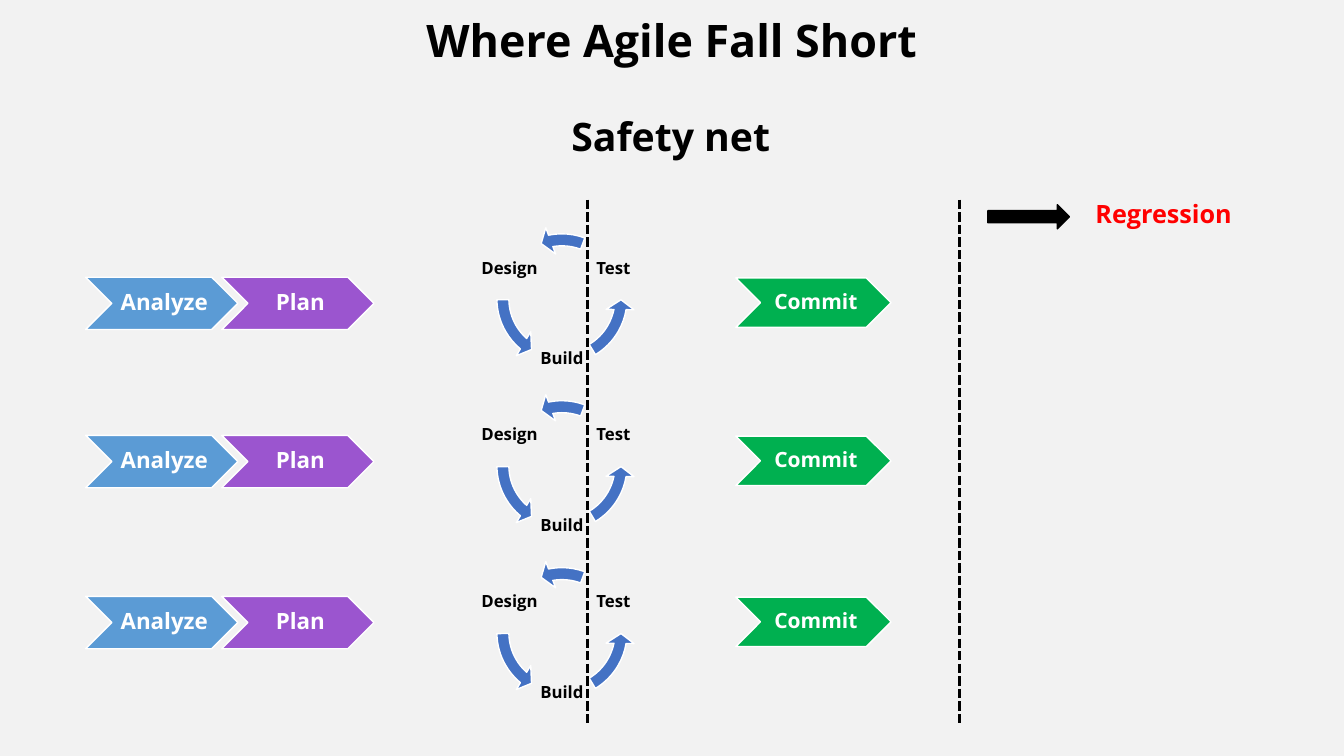
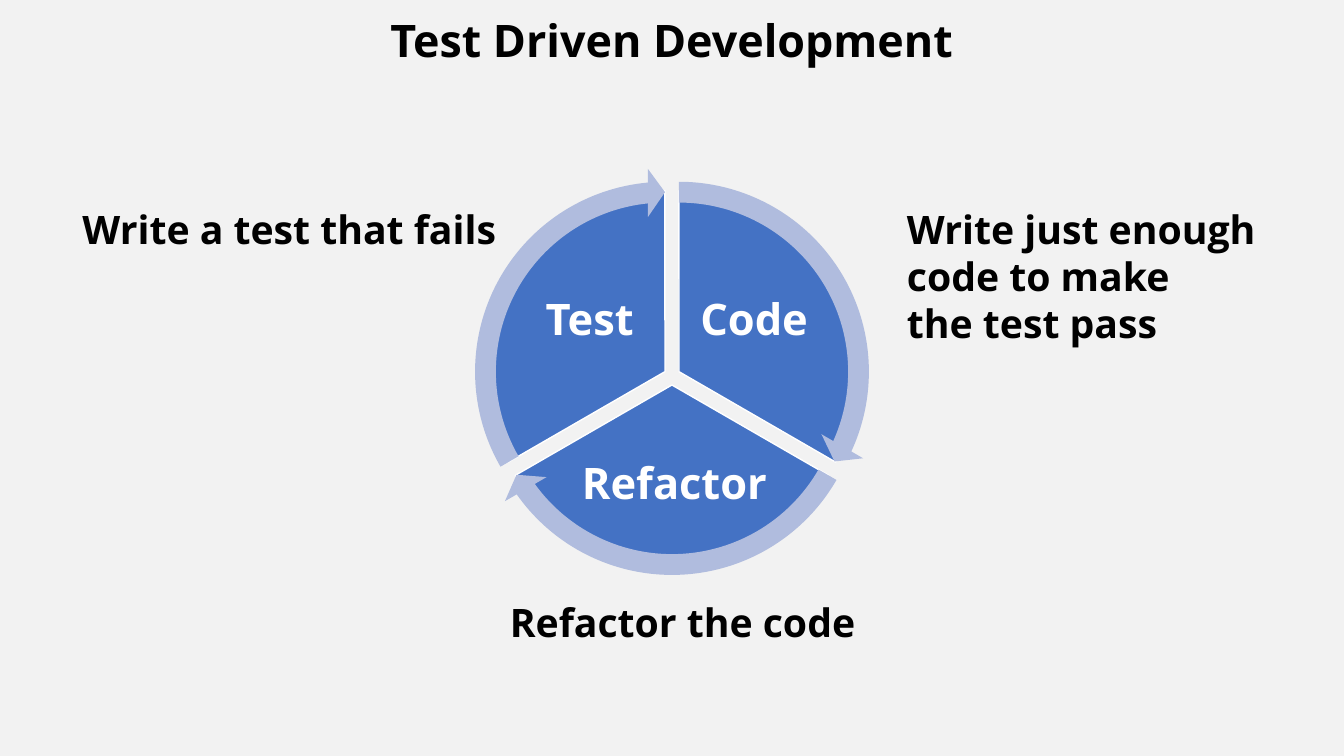
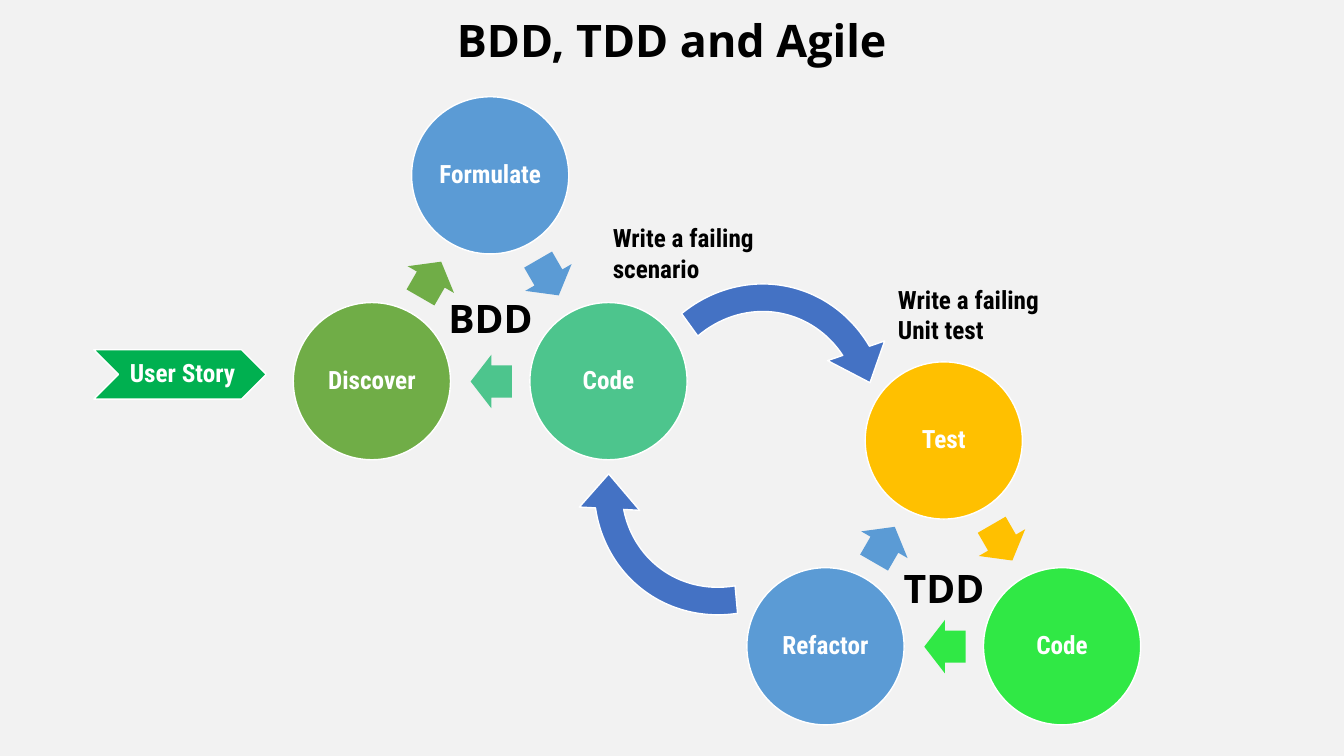
"""Build three slides on agile, test driven and behaviour driven development."""
from lxml import etree
from pptx import Presentation
from pptx.dml.color import RGBColor
from pptx.enum.dml import MSO_LINE
from pptx.enum.shapes import MSO_CONNECTOR, MSO_SHAPE
from pptx.enum.text import MSO_ANCHOR, MSO_AUTO_SIZE, PP_ALIGN
from pptx.oxml.ns import qn
from pptx.util import Pt

CHEVRON = MSO_SHAPE.CHEVRON
OVAL = MSO_SHAPE.OVAL
PIE = MSO_SHAPE.PIE
ARROW = MSO_SHAPE.RIGHT_ARROW
BEND = MSO_SHAPE.CIRCULAR_ARROW
BACK = MSO_SHAPE.LEFT_CIRCULAR_ARROW
STRAIGHT = MSO_CONNECTOR.STRAIGHT
DASH = MSO_LINE.SQUARE_DOT
LEFT, CENTER = PP_ALIGN.LEFT, PP_ALIGN.CENTER
TOP, MIDDLE = MSO_ANCHOR.TOP, MSO_ANCHOR.MIDDLE
FIXED = MSO_AUTO_SIZE.NONE

BLACK = RGBColor(0x00, 0x00, 0x00)
WHITE = RGBColor(0xFF, 0xFF, 0xFF)
PAPER = RGBColor(0xF2, 0xF2, 0xF2)
BLUE = RGBColor(0x44, 0x72, 0xC4)
SKY = RGBColor(0x5B, 0x9B, 0xD5)
PALE = RGBColor(0xB0, 0xBC, 0xDE)
PURPLE = RGBColor(0x9B, 0x55, 0xCF)
GREEN = RGBColor(0x00, 0xB0, 0x50)
MINT = RGBColor(0x4D, 0xC5, 0x8D)
OLIVE = RGBColor(0x70, 0xAD, 0x47)
GOLD = RGBColor(0xFF, 0xC0, 0x00)
LIME = RGBColor(0x30, 0xE8, 0x45)
RED = RGBColor(0xFF, 0x00, 0x00)

SANS = "Open Sans"
ROBOTO = "Roboto Condensed"
PERCENT, DEGREE = 0.01, 0.6
RING = (PERCENT, DEGREE, DEGREE, DEGREE, PERCENT)
UNITS = {PIE: (DEGREE, DEGREE), ARROW: (PERCENT, PERCENT), BEND: RING, BACK: RING}


def text(shape, words, size, font=SANS, color=BLACK, align=LEFT, anchor=TOP,
         inset=(7.2, 3.6, 7.2, 3.6), space=1):
    frame = shape.text_frame
    frame.text = words
    frame.word_wrap = False
    frame.auto_size = FIXED
    frame.vertical_anchor = anchor
    frame.margin_left, frame.margin_top, frame.margin_right, frame.margin_bottom = map(Pt, inset)
    for line in frame.paragraphs:
        line.alignment = align
        line.line_spacing = space
        style = line.runs[0].font
        style.name, style.size, style.bold = font, Pt(size), True
        style.color.rgb = color


def form(slide, kind, box, fill, edge=WHITE, turn=0, adjust=()):
    shape = slide.shapes.add_shape(kind, *map(Pt, box))
    shape.shadow.inherit = False
    shape.rotation = turn
    shape.fill.solid()
    shape.fill.fore_color.rgb = fill
    if edge is None:
        shape.line.fill.background()
    else:
        shape.line.color.rgb = edge
        shape.line.width = Pt(1)
    for i, value in enumerate(adjust):
        shape.adjustments[i] = value * UNITS[kind][i]
    return shape


deck = Presentation()
deck.slide_width, deck.slide_height = Pt(960), Pt(540)
back = deck.slide_master.background.fill
back.solid()
back.fore_color.rgb = PAPER
layout = deck.slide_layouts[5]
head = layout.placeholders[0]
head.left, head.top, head.width, head.height = map(Pt, (0, 5.8, 960, 46))

slides = []
for name in ("Where Agile Fall Short", "Test Driven Development", "BDD, TDD and Agile"):
    slide = deck.slides.add_slide(layout)
    text(slide.shapes.title, name, 32, align=CENTER)
    slides.append(slide)
agile, tdd, both = slides

LABEL = dict(color=WHITE, align=CENTER, anchor=MIDDLE, space=0.9)
TAG = dict(LABEL, inset=(5, 1.4, 1.4, 1.4))

for row, top in enumerate((198, 311, 426)):
    ring = 161.3 + row * 119.2
    for word, left, down in (("Design", 342, 8.6), ("Build", 379.4, 73.4), ("Test", 416.2, 8.6)):
        note = agile.shapes.add_textbox(Pt(left), Pt(ring + down), Pt(44), Pt(44))
        text(note, word, 12, align=CENTER, anchor=MIDDLE, inset=(1.4,) * 4, space=0.9)
    for end, start in ((130.59, 179.15), (10.45, 59.01), (259.04, 290.56)):
        form(agile, BACK, (349.2, ring, 104.4, 104.4), BLUE, adjust=(8.2, 9.6, end, start, 9.6))
    for word, left, down, wide, high, fill, size in (
            ("Analyze", 61.2, 0, 108.7, 37.4, SKY, 16),
            ("Plan", 158.4, 0, 108.7, 37.4, PURPLE, 16),
            ("Commit", 525.6, 0.5, 110.9, 35.3, GREEN, 15)):
        step = form(agile, CHEVRON, (left, top + down, wide, high), fill)
        text(step, word, size, **TAG)

for x in (419.8, 685.4):
    wall = agile.shapes.add_connector(STRAIGHT, Pt(x), Pt(142.6), Pt(x), Pt(517))
    wall.line.color.rgb = BLACK
    wall.line.width = Pt(2.25)
    wall.line.dash_style = DASH
    etree.SubElement(wall.element.spPr, qn("a:effectLst"))
form(agile, ARROW, (705.6, 146.2, 58.3, 17.3), BLACK, edge=BLACK)

parts = (
    ("Code", 485, 265.5, 270, (492.5, 190.8, 92.2, 77)),
    ("Refactor", 480, 275, 30, (412.6, 313.2, 138.2, 67.7)),
    ("Test", 475, 265.5, 150, (375.1, 190.8, 92.2, 77)),
)
for word, x, y, start, box in parts:
    form(tdd, PIE, (x - 129.2, y - 129.2, 258.4, 258.4), BLUE, adjust=(start, (start + 120) % 360))
    text(tdd.shapes.add_textbox(*map(Pt, box)), word, 31, inset=(2.9,) * 4, **LABEL)
for word, x, y, start, box in parts:
    end = (start + 120) % 360 - 5.46
    form(tdd, BEND, (x - 145.4, y - 145.4, 290.8, 290.8), PALE, edge=None,
         adjust=(5.1, 5.46, end, start, 5.9))

places = (
    ((84.5, 0), (167.5, 110), 60),
    ((169, 147), (126.7, 184.3), 180),
    ((0, 147), (83.5, 111.5), 300),
)
cycles = (
    ("BDD", 209.5, 69.1, 137.5, (("Formulate", SKY), ("Code", MINT), ("Discover", OLIVE))),
    ("TDD", 533.5, 258.5, 141.1, (("Test", GOLD), ("Code", LIME), ("Refactor", SKY))),
)
for name, left, top, down, steps in cycles:
    for (word, fill), (disc, tip, turn) in zip(steps, places):
        circle = form(both, OVAL, (left + disc[0], top + disc[1], 112.3, 112.3), fill)
        text(circle, word, 18, font=ROBOTO, inset=(2.2,) * 4, **LABEL)
        form(both, ARROW, (left + tip[0], top + tip[1], 29.5, 38.2), fill, edge=None,
             turn=turn, adjust=(60, 50))
    note = both.shapes.add_textbox(Pt(left + 100.8), Pt(top + down), Pt(80), Pt(41))
    text(note, name, 28, align=CENTER)

for left, top, turn, start in ((438.5, 190.8, 13.3, 220.82), (414.7, 233.3, 215.4, 229.53)):
    form(both, BEND, (left, top, 207.4, 219.6), BLUE, turn=turn,
         adjust=(9.5, 16.86, 310.9, start, 10.4))
story = form(both, CHEVRON, (67, 249.8, 123.1, 35.3), GREEN)
text(story, "User Story", 18, font=ROBOTO, **TAG)

notes = (
    (agile, "Safety net", (401, 77, 157.7, 41), 28, SANS, BLACK),
    (agile, "Regression", (775.4, 138.2, 113, 28.8), 18, SANS, RED),
    (tdd, "Write a test that fails", (51.8, 143.3, 313.2, 41), 28, SANS, BLACK),
    (tdd, "Write just enough\ncode to make\nthe test pass", (640.8, 143.3, 273.6, 108.7), 28, SANS, BLACK),
    (tdd, "Refactor the code", (357.1, 424, 263.5, 41), 28, SANS, BLACK),
    (both, "Write a failing\nscenario", (430.6, 155.5, 115.9, 51.1), 18, ROBOTO, BLACK),
    (both, "Write a failing\nUnit test", (634.3, 199.4, 115.9, 51.1), 18, ROBOTO, BLACK),
)
for slide, words, box, size, font, color in notes:
    text(slide.shapes.add_textbox(*map(Pt, box)), words, size, font=font, color=color)

deck.save("out.pptx")
